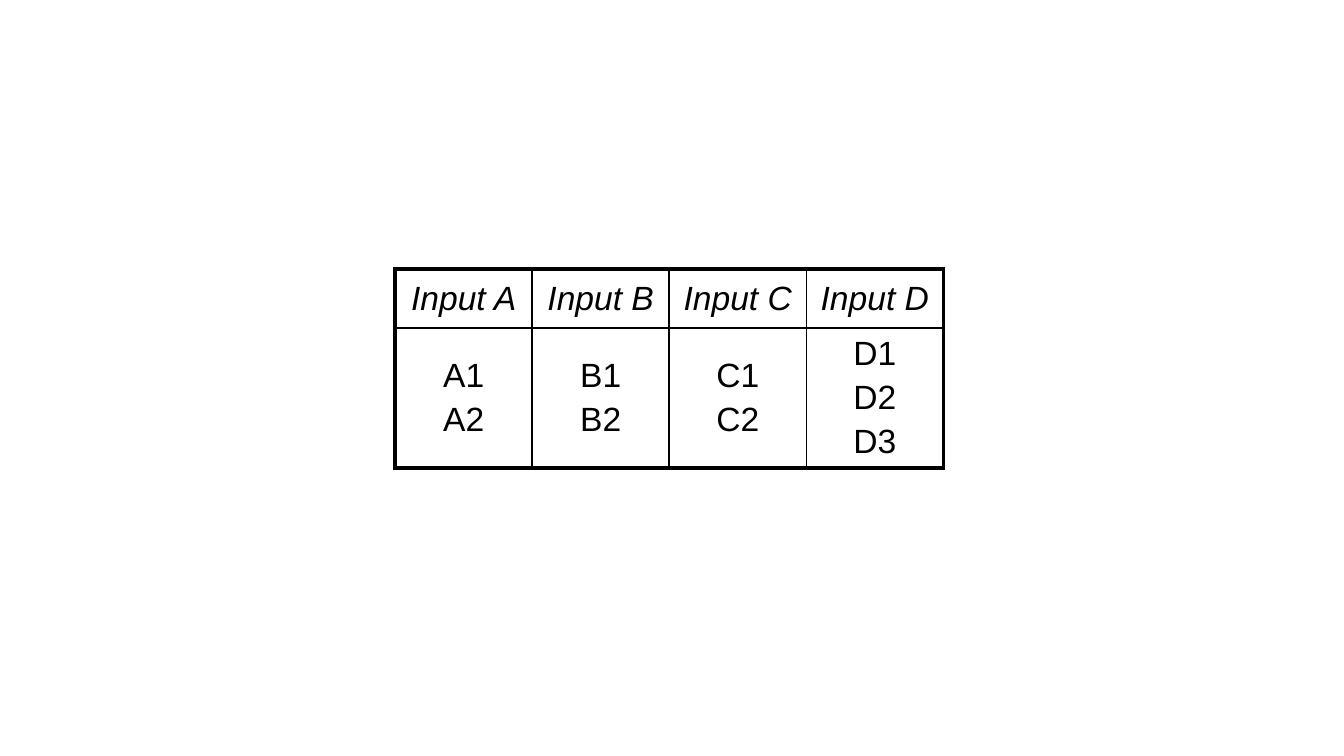
from dataclasses import dataclass

from lxml.etree import SubElement
from pptx import Presentation
from pptx.dml.color import RGBColor
from pptx.enum.text import MSO_ANCHOR as Anchor, PP_ALIGN as Align
from pptx.oxml.ns import qn
from pptx.util import Inches, Pt


@dataclass(frozen=True)
class Theme:
    font: str = "Arial"
    size: float = 18
    ink: str = "000000"
    paper: str = "FFFFFF"
    outer: float = 2.25
    inner: float = 1
    space_before: int = 20


class Deck:
    def __init__(self, theme, width, height):
        self.theme = theme
        self.prs = Presentation()
        self.prs.slide_width = Inches(width)
        self.prs.slide_height = Inches(height)
        self.s = self.prs.slides.add_slide(self.prs.slide_layouts[6])
        fill = self.s.background.fill
        fill.solid()
        fill.fore_color.rgb = RGBColor.from_string(theme.paper)

    def table(self, rows, left, top, width, height, row_heights):
        w, h = self.prs.slide_width, self.prs.slide_height
        n_rows, n_cols = len(rows), len(rows[0])
        frame = self.s.shapes.add_table(
            n_rows, n_cols, round(left * w), round(top * h),
            round(width * w), round(height * h)
        )
        tbl = frame.table
        tbl.first_row = tbl.horz_banding = False
        for row, share in zip(tbl.rows, row_heights):
            row.height = round(share * h)
        frame.height = round(height * h)
        for i, texts in enumerate(rows):
            for j, text in enumerate(texts):
                cell = tbl.cell(i, j)
                edges = {"L": j == 0, "R": j == n_cols - 1,
                         "T": i == 0, "B": i == n_rows - 1}
                self.borders(cell, edges)
                cell.fill.background()
                self.cell_text(cell, text, italic=i == 0)

    def borders(self, cell, edges):
        tc_pr = cell._tc.get_or_add_tcPr()
        for side, is_outer in edges.items():
            width = self.theme.outer if is_outer else self.theme.inner
            ln = SubElement(tc_pr, qn(f"a:ln{side}"), w=str(Pt(width)))
            fill = SubElement(ln, qn("a:solidFill"))
            SubElement(fill, qn("a:srgbClr"), val=self.theme.ink)

    def cell_text(self, cell, text, italic):
        cell.vertical_anchor = Anchor.MIDDLE
        tf = cell.text_frame
        tf.text = text
        for p in tf.paragraphs:
            p.alignment = Align.CENTER
            spacing = SubElement(p._p.get_or_add_pPr(), qn("a:spcBef"))
            SubElement(spacing, qn("a:spcPct"), val=str(self.theme.space_before * 1000))
            for r in p.runs:
                r.font.name = self.theme.font
                r.font.size = Pt(self.theme.size)
                r.font.italic = italic
                r.font.color.rgb = RGBColor.from_string(self.theme.ink)


def main():
    width = 10
    height = width * 9 / 16
    deck = Deck(Theme(), width, height)
    inputs = {"A": 2, "B": 2, "C": 2, "D": 3}
    headings = [f"Input {name}" for name in inputs]
    values = ["\n".join(f"{name}{k + 1}" for k in range(count))
              for name, count in inputs.items()]
    deck.table(
        [headings, values],
        left=2.94 / width, top=2 / height,
        width=4.08 / width, height=1.56 / height,
        row_heights=[0.44 / height, 0.51 / height],
    )
    deck.prs.save("out.pptx")


if __name__ == "__main__":
    main()
